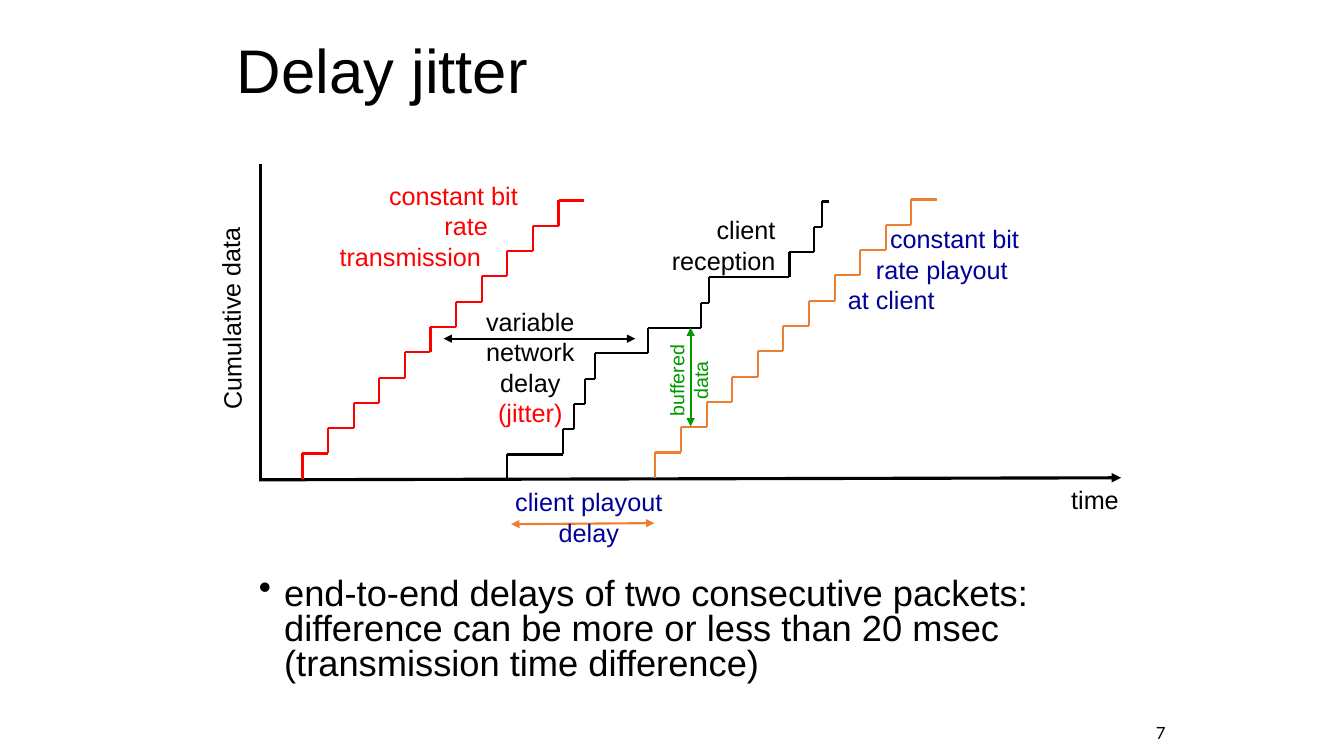
"""Build the delay jitter slide: three data staircases over time and a note."""
from dataclasses import dataclass

from lxml import etree
from pptx import Presentation
from pptx.dml.color import RGBColor
from pptx.enum.shapes import MSO_CONNECTOR
from pptx.enum.text import MSO_ANCHOR, MSO_AUTO_SIZE, PP_ALIGN
from pptx.oxml.ns import qn
from pptx.util import Inches, Pt

STRAIGHT = MSO_CONNECTOR.STRAIGHT
LEFT, CENTER, RIGHT = PP_ALIGN.LEFT, PP_ALIGN.CENTER, PP_ALIGN.RIGHT
MIDDLE = MSO_ANCHOR.MIDDLE
FIXED = MSO_AUTO_SIZE.NONE


@dataclass(frozen=True)
class Theme:
    black: str = "000000"
    red: str = "FF0000"
    orange: str = "ED7D31"
    blue: str = "000099"
    green: str = "009900"
    font: str = "Arial"
    number_font: str = "Lato"
    title: float = 44
    body: float = 25.9
    label: float = 18
    small: float = 14
    number: float = 12
    axis: float = 2.25
    line: float = 1.5


T = Theme()
prs = Presentation()
prs.slide_width, prs.slide_height = Inches(13.33), Inches(7.5)
CELL = prs.slide_height / 75
s = prs.slides.add_slide(prs.slide_layouts[5])


def add_line(x1, y1, x2, y2, color, width=T.line, ends=()):
    ln = s.shapes.add_connector(STRAIGHT, *(round(v * CELL) for v in (x1, y1, x2, y2)))
    ln.line.color.rgb = RGBColor.from_string(color)
    ln.line.width = Pt(width)
    for end in ends:
        etree.SubElement(ln.line._ln, qn(f"a:{end}"), type="triangle")
    etree.SubElement(ln._element.spPr, qn("a:effectLst"))


def add_text(box, lines, color, size=T.label, align=LEFT, rotation=0, font=T.font):
    sp = s.shapes.add_textbox(*(round(v * CELL) for v in box))
    sp.rotation = rotation
    tf = sp.text_frame
    tf.word_wrap = align == LEFT
    tf.text = "\n".join(lines)
    for p in tf.paragraphs:
        p.alignment = align
        p.font.name, p.font.size = font, Pt(size)
        p.font.color.rgb = RGBColor.from_string(color)
    return tf


sp = s.shapes.title
sp.left, sp.top, sp.width, sp.height = (round(v * CELL) for v in (22.5, 2.5, 89.3, 9.5))
tf = sp.text_frame
tf.text = "Delay jitter"
tf.auto_size, tf.vertical_anchor = FIXED, MIDDLE
p = tf.paragraphs[0]
p.alignment, p.line_spacing = LEFT, 0.9
p.font.name, p.font.size = T.font, Pt(T.title)
p.font.color.rgb = RGBColor.from_string(T.black)

add_line(25.8, 16.3, 25.8, 47.5, T.black, T.axis)
add_line(25.7, 47.6, 111.2, 47.4, T.black, T.axis, ["tailEnd"])

STEPS, TREAD, RISE = 11, 2.54, 2.51
sent = [30 + TREAD * i for i in range(STEPS + 1)]
played = [65 + TREAD * i for i in range(STEPS + 1)]
received = [50.3, 55.8, 56.9, 58, 59, 64.3, 69.5, 70.3, 78.3, 80.7, 81.5, 82.2]
for risers, base, color in [
    (sent, 47.5, T.red),
    (received, 47.6, T.black),
    (played, 47.4, T.orange),
]:
    for i, (x, next_x) in enumerate(zip(risers, risers[1:])):
        y = base - RISE * i
        add_line(x, y, x, y - RISE, color)
        add_line(x, y - RISE, next_x, y - RISE, color)

BOTH = ["headEnd", "tailEnd"]
add_line(44, 33.6, 63, 33.6, T.black, ends=BOTH)
add_line(50.7, 52, 64.9, 51.9, T.orange, ends=BOTH)
add_line(68.5, 42.3, 68.5, 32.5, T.green, ends=BOTH)

for box, color, lines, indents in [
    ((32.7, 17.4, 20.4, 10.1), T.red,
     ["constant bit", "rate", "transmission"], [4.9, 10.4, 0]),
    ((82.4, 21.7, 20.4, 10.1), T.blue,
     ["constant bit", "rate playout", "at client"], [4.9, 3.5, 0.7]),
]:
    for p, indent in zip(add_text(box, lines, color).paragraphs, indents):
        p._p.get_or_add_pPr().set("marL", str(round(indent * CELL)))

add_text((12.2, 28.9, 21.4, 4), ["Cumulative data"], T.black, rotation=269.4)
add_text((105.2, 47.6, 6.8, 4), ["time"], T.black, align=CENTER)
tf = add_text((47.1, 29.9, 11, 13.1), ["variable", "network", "delay", "(jitter)"],
              T.black, align=CENTER)
tf.paragraphs[-1].font.color.rgb = RGBColor.from_string(T.red)
add_text((65.5, 20.8, 12.4, 7.1), ["client", "reception"], T.black, align=RIGHT)
add_text((49.2, 47.8, 18.4, 7), ["client playout", "delay"], T.blue, align=CENTER)
add_text((63.7, 34.9, 9.2, 5.7), ["buffered", "data"], T.green, T.small, CENTER, 270)

tf = add_text(
    (24.7, 56.9, 85, 12.2),
    ["end-to-end delays of two consecutive packets: difference can be more or less "
     "than 20 msec (transmission time difference)"],
    T.black, T.body)
p = tf.paragraphs[0]
p.line_spacing = 0.8
pPr = p._p.get_or_add_pPr()
pPr.set("marL", str(Inches(0.25)))
pPr.set("indent", str(-Inches(0.25)))
bullet = etree.Element(qn("a:buChar"), char="•")
pPr.find(qn("a:lnSpc")).addnext(bullet)

tf = add_text((109.1, 71.2, 7.5, 3), ["7"], T.black, T.number, RIGHT, font=T.number_font)
tf.vertical_anchor = MIDDLE

prs.save("out.pptx")
